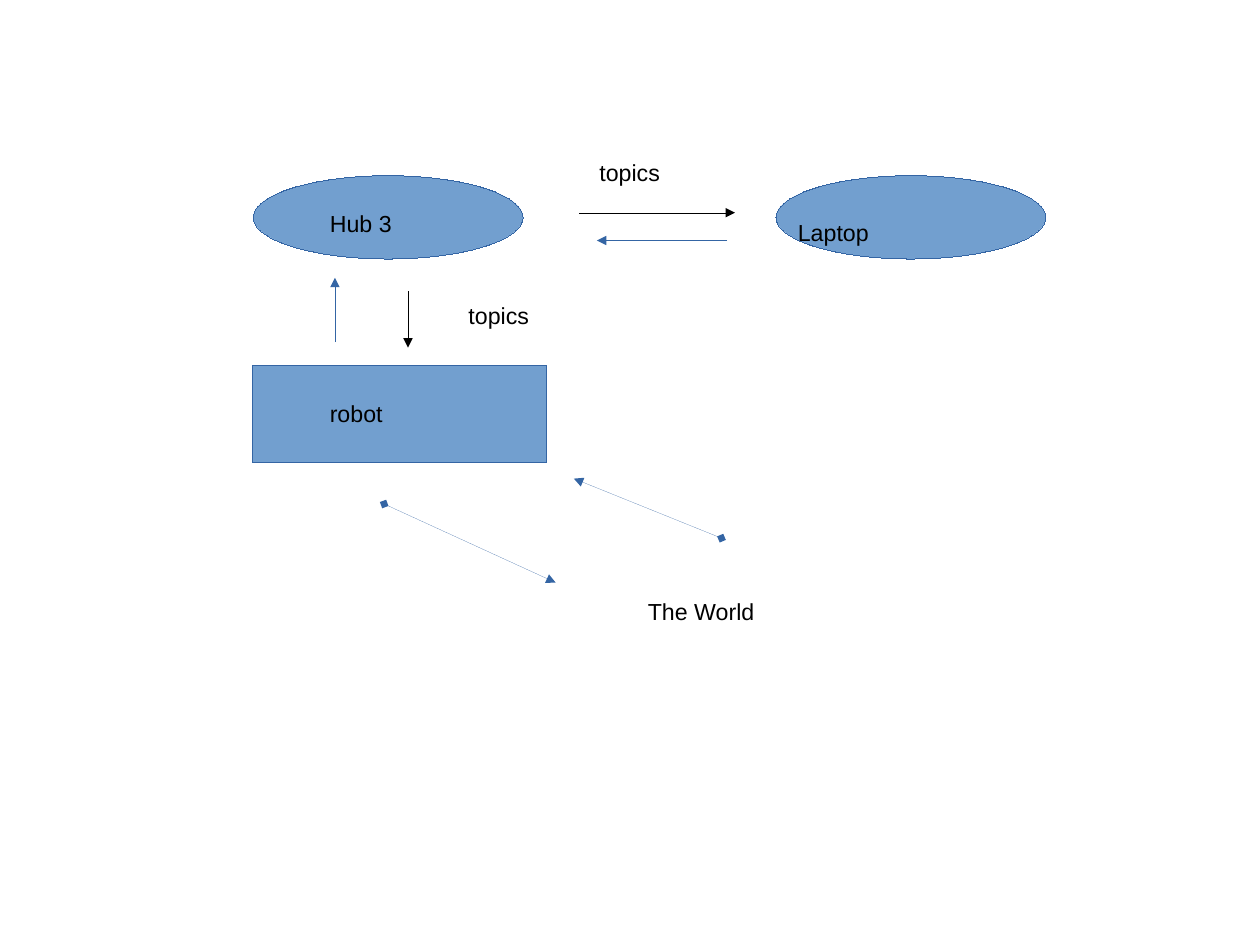
"""Draw a robot control diagram with topics between its nodes."""
from pptx import Presentation
from pptx.dml.color import RGBColor
from pptx.enum.shapes import MSO_CONNECTOR as CONN, MSO_SHAPE as SHAPE
from pptx.oxml.xmlchemy import OxmlElement
from pptx.util import Pt

BLACK = RGBColor(0x00, 0x00, 0x00)
BLUE = RGBColor(0x72, 0x9F, 0xCF)
DARK_BLUE = RGBColor(0x34, 0x65, 0xA4)


class Diagram:
    def __init__(self, slide, font="Arial", size=14.6):
        self.shapes = slide.shapes
        self.font = font
        self.size = size

    def hairline(self, sp, color):
        sp.line.color.rgb = color
        ln = sp.line._get_or_add_ln()
        ln.set("w", "0")
        return ln

    def node(self, kind, x, y, w, h):
        sp = self.shapes.add_shape(kind, Pt(x), Pt(y), Pt(w), Pt(h))
        sp.shadow.inherit = False
        sp.fill.solid()
        sp.fill.fore_color.rgb = BLUE
        self.hairline(sp, DARK_BLUE)

    def label(self, text, x, y, w, h=24):
        sp = self.shapes.add_textbox(Pt(x), Pt(y), Pt(w), Pt(h))
        tf = sp.text_frame
        tf.word_wrap = True
        r = tf.paragraphs[0].add_run()
        r.text = text
        r.font.name = self.font
        r.font.size = Pt(self.size)
        r.font.color.rgb = BLACK

    def arrow(self, start, tip, color=DARK_BLUE, diamond=False):
        ends = [Pt(v) for v in (*start, *tip)]
        sp = self.shapes.add_connector(CONN.STRAIGHT, *ends)
        ln = self.hairline(sp, color)
        heads = [("a:headEnd", "diamond")] if diamond else []
        for tag, kind in heads + [("a:tailEnd", "triangle")]:
            end = OxmlElement(tag)
            end.set("type", kind)
            ln.append(end)
        sp._element.spPr.append(OxmlElement("a:effectLst"))


def main():
    prs = Presentation()
    prs.slide_width, prs.slide_height = Pt(793.7), Pt(595.28)
    d = Diagram(prs.slides.add_slide(prs.slide_layouts[6]))

    d.node(SHAPE.RECTANGLE, 159.3, 230.2, 185, 61)
    for x in (159.5, 488.8):
        d.node(SHAPE.OVAL, x, 110.7, 170, 52.5)

    d.label("robot", 200.7, 247.8, 113, 29)
    d.label("Hub 3", 200.7, 128, 103)
    d.label("Laptop", 495.5, 134, 132)
    d.label("topics", 370.5, 96.2, 93)
    d.label("topics", 288, 186.2, 129)
    d.label("The World", 401, 373, 138)

    d.arrow((365, 134), (463, 134), BLACK)
    d.arrow((458, 151.5), (376, 151.5))
    d.arrow((211, 215.5), (211, 175))
    d.arrow((257, 183.5), (257, 219), BLACK)
    d.arrow((242, 317.5), (350, 367), diamond=True)
    d.arrow((454.5, 339), (361.5, 301.5), diamond=True)

    prs.save("out.pptx")


if __name__ == "__main__":
    main()
